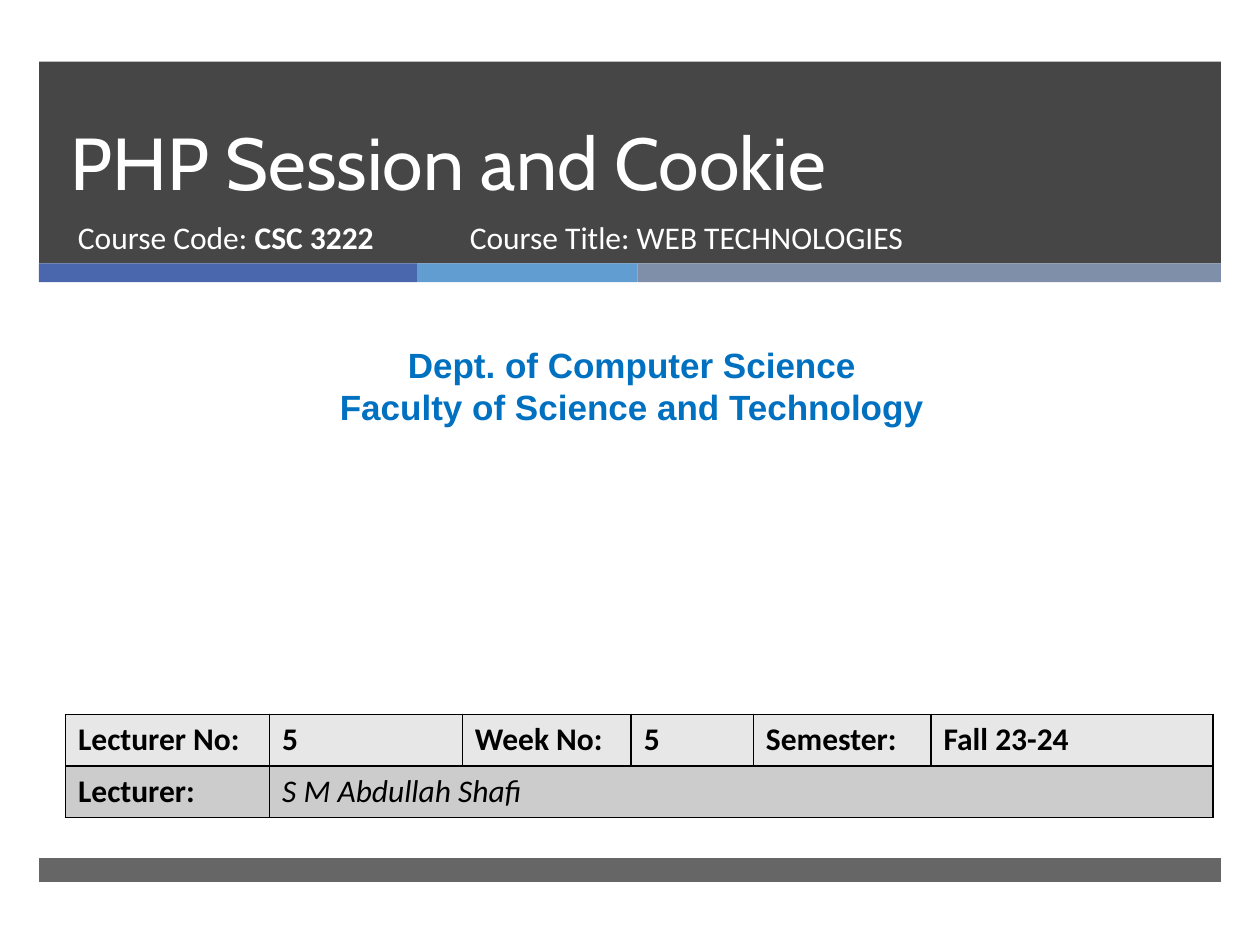
"""Build the opening slide of a lecture on PHP sessions and cookies."""
import pptx
import pptx.dml.color
import pptx.enum.shapes
import pptx.enum.text
import pptx.oxml
import pptx.oxml.ns
import pptx.util
from lxml import etree

RGBColor = pptx.dml.color.RGBColor
Inches = pptx.util.Inches
Pt = pptx.util.Pt
Anchor = pptx.enum.text.MSO_ANCHOR
Align = pptx.enum.text.PP_ALIGN

CHARCOAL = RGBColor(0x26, 0x26, 0x26)
INDIGO = RGBColor(0x4A, 0x66, 0xAC)
SKY = RGBColor(0x62, 0x9D, 0xD1)
SLATE = RGBColor(0x7F, 0x8F, 0xA9)
BLUE = RGBColor(0x00, 0x70, 0xC0)
WHITE = RGBColor(0xFF, 0xFF, 0xFF)
BLACK = RGBColor(0x00, 0x00, 0x00)
PALE_GREY = RGBColor(0xE7, 0xE7, 0xE7)
MID_GREY = RGBColor(0xCC, 0xCC, 0xCC)

MARGIN = 0.31
BAND_WIDTH = 9.38
COLUMN_WIDTHS = (1.62, 1.53, 1.34, 0.97, 1.41, 2.24)
ROW_HEIGHT = 0.41


def add_band(page, left, top, width, height, color, opacity=100):
    """Add a plain rectangle, see-through when opacity is below 100."""
    band = page.shapes.add_shape(
        pptx.enum.shapes.MSO_SHAPE.RECTANGLE,
        Inches(left), Inches(top), Inches(width), Inches(height))
    band.shadow.inherit = False
    band.line.fill.background()
    band.fill.solid()
    band.fill.fore_color.rgb = color
    if opacity < 100:
        tint = band.fill._xPr.find(".//" + pptx.oxml.ns.qn("a:srgbClr"))
        alpha = etree.SubElement(tint, pptx.oxml.ns.qn("a:alpha"))
        alpha.set("val", str(opacity * 1000))


def set_font(para, name, size, color, bold=None, italic=None):
    """Set the font of a whole paragraph."""
    font = para.font
    font.name, font.size = name, Pt(size)
    font.bold, font.italic = bold, italic
    font.color.rgb = color


def add_text(page, place, lines, name, size, color, bold=None,
             align=Align.LEFT, anchor=Anchor.TOP):
    """Add a wrapped text box with one paragraph per line and return its frame."""
    box = page.shapes.add_textbox(*(Inches(length) for length in place))
    frame = box.text_frame
    frame.word_wrap = True
    frame.vertical_anchor = anchor
    frame.text = "\n".join(lines)
    for para in frame.paragraphs:
        para.alignment = align
        set_font(para, name, size, color, bold)
    return frame


def add_borders(cell):
    """Draw a thin black line on all four sides of a table cell."""
    properties = cell._tc.get_or_add_tcPr()
    for index, side in enumerate(("lnL", "lnR", "lnT", "lnB")):
        properties.insert(index, pptx.oxml.parse_xml(
            f'<a:{side} {pptx.oxml.ns.nsdecls("a")} w="12700"><a:solidFill>'
            f'<a:srgbClr val="{BLACK}"/></a:solidFill></a:{side}>'))


def add_lecture_table(page):
    """Add the table of lecture details."""
    rows = (
        (PALE_GREY, ("Lecturer No:", "5", "Week No:", "5", "Semester:", "Fall 23-24")),
        (MID_GREY, ("Lecturer:", "S M Abdullah Shafi", "", "", "", "")),
    )
    table = page.shapes.add_table(
        len(rows), len(COLUMN_WIDTHS), Inches(0.52), Inches(5.67),
        Inches(sum(COLUMN_WIDTHS)), Inches(ROW_HEIGHT * len(rows))).table
    for column, width in zip(table.columns, COLUMN_WIDTHS):
        column.width = Inches(width)
    for row_index, (shade, words) in enumerate(rows):
        for column_index, word in enumerate(words):
            cell = table.cell(row_index, column_index)
            cell.text = word
            cell.fill.solid()
            cell.fill.fore_color.rgb = shade
            is_name = row_index == 1 and column_index == 1
            set_font(cell.text_frame.paragraphs[0], "Calibri", 18, BLACK,
                     bold=not is_name, italic=is_name)
            add_borders(cell)
    table.cell(1, 1).merge(table.cell(1, len(COLUMN_WIDTHS) - 1))


def main():
    """Build and save the deck."""
    deck = pptx.Presentation()
    deck.slide_width, deck.slide_height = Inches(10), Inches(7.5)
    page = deck.slides.add_slide(deck.slide_layouts[6])

    add_band(page, MARGIN, 0.49, BAND_WIDTH, 1.6, CHARCOAL, 85)
    left = MARGIN
    for width, color in ((3, INDIGO), (1.75, SKY), (4.63, SLATE)):
        add_band(page, left, 2.09, width, 0.15, color)
        left += width
    add_band(page, MARGIN, 6.81, BAND_WIDTH, 0.19, CHARCOAL, 70)

    title = add_text(page, (0.46, 0.49, 8.54, 1.19), ["PHP Session and Cookie"],
                     "Cabin", 42, WHITE, anchor=Anchor.BOTTOM)
    title.paragraphs[0].line_spacing = Pt(46)
    code = add_text(page, (0.52, 1.68, 3.05, 0.53), ["Course Code: "],
                    "Calibri", 18, WHITE)
    span = code.paragraphs[0].add_run()
    span.text = "CSC 3222"
    span.font.bold = True
    add_text(page, (3.63, 1.68, 4.55, 0.53), ["Course Title: WEB TECHNOLOGIES"],
             "Calibri", 18, WHITE)
    add_text(page, (0.08, 2.68, 9.87, 0.77),
             ["Dept. of Computer Science", "Faculty of Science and Technology"],
             "Arial", 20, BLUE, bold=True, align=Align.CENTER)
    add_lecture_table(page)
    deck.save("out.pptx")


main()
